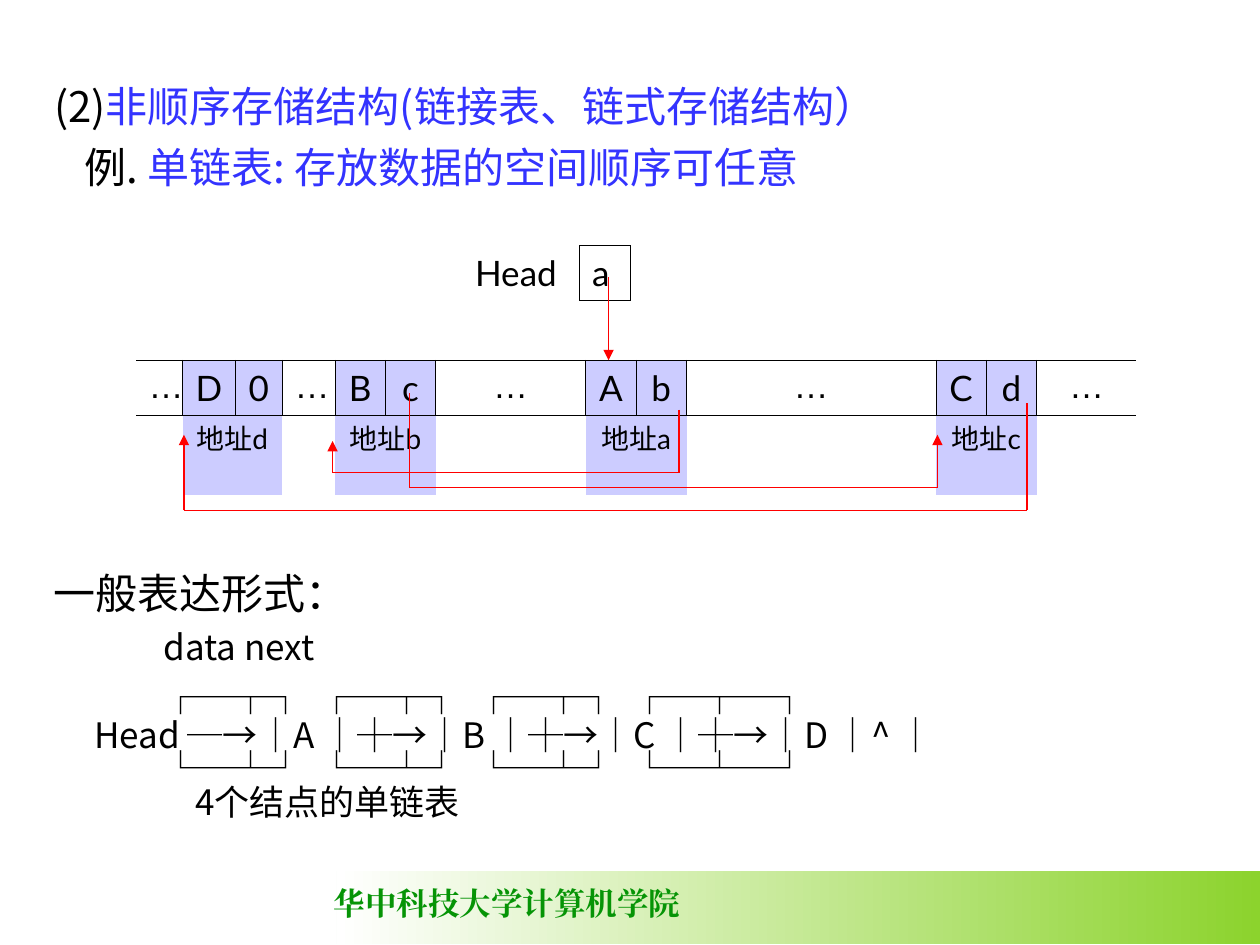
from itertools import pairwise

from lxml import etree
from pptx import Presentation
from pptx.dml.color import RGBColor
from pptx.enum import shapes, text
from pptx.oxml.ns import qn
from pptx.util import Inches, Pt

BLACK, BLUE, RED, LILAC = "000000", "3333FF", "FF0000", "CCCCFF"
SONG = "Noto Sans CJK SC"
NODE_TABS = [0.87 + 1.24 * i for i in range(4)]


def rgb(value):
    return RGBColor.from_string(value)


def add_run(paragraph, words, color=BLACK, **font):
    run = paragraph.add_run()
    run.text = words
    for name, value in font.items():
        setattr(run.font, name, value)
    run.font.color.rgb = rgb(color)
    # East Asian characters use the same typeface
    etree.SubElement(run._r.get_or_add_rPr(), qn("a:ea"), typeface=font["name"])


def format_frame(frame, wrap=True):
    settings = {"word_wrap": wrap, "auto_size": text.MSO_AUTO_SIZE.NONE,
                "vertical_anchor": text.MSO_ANCHOR.TOP,
                "margin_left": Inches(0.1), "margin_right": Inches(0.1),
                "margin_top": Inches(0.05), "margin_bottom": Inches(0.05)}
    for name, value in settings.items():
        setattr(frame, name, value)


def add_textbox(slide, left, top, width, height, wrap=True):
    box = slide.shapes.add_textbox(*map(Inches, (left, top, width, height)))
    format_frame(box.text_frame, wrap)
    return box.text_frame


def write_line(paragraph, runs, size, spacing, tabs=()):
    """Write (words, colour) runs on a line of fixed height with tab stops."""
    if tabs:
        tab_list = etree.SubElement(paragraph._p.get_or_add_pPr(), qn("a:tabLst"))
        for stop in tabs:
            etree.SubElement(tab_list, qn("a:tab"), pos=str(Inches(stop)), algn="l")
    paragraph.alignment = text.PP_ALIGN.LEFT
    paragraph.space_before = Pt(0)
    paragraph.line_spacing = Pt(spacing)
    for words, color in runs:
        add_run(paragraph, words, color, name=SONG, size=Pt(size))


def add_heading(slide):
    title = slide.shapes.title
    places = {"left": 0.33, "top": 0.5, "width": 9.33, "height": 0.55}
    for name, value in places.items():
        setattr(title, name, Inches(value))
    format_frame(title.text_frame)
    write_line(title.text_frame.paragraphs[0],
               [("(2)", BLACK), ("非顺序存储结构(链接表、链式存储结构）", BLUE)], 24, 35)
    example = add_textbox(slide, 0.33, 0.99, 9.33, 0.55)
    write_line(example.paragraphs[0],
               [("\t例. ", BLACK), ("单链表: 存放数据的空间顺序可任意", BLUE)],
               24, 35, [0.24])


def add_general_form(slide):
    lines = [("一般表达形式：", 24, 35, ()),
             ("\tdata next", 20, 28.5, NODE_TABS),
             ("\t┌─┬┐\t┌─┬┐\t┌─┬┐\t┌─┬─┐", 20, 28.5, NODE_TABS),
             ("\tHead ─→│A │┼→│B │┼→│C │┼→│D │^ │", 20, 21.5, [0.32]),
             ("\t└─┴┘\t└─┴┘\t└─┴┘\t└─┴─┘", 20, 19, NODE_TABS),
             ("\t4个结点的单链表", 20, 19.5, [1.12])]
    frame = add_textbox(slide, 0.33, 4.37, 9.33, 2.3)
    for i, (words, size, spacing, tabs) in enumerate(lines):
        paragraph = frame.add_paragraph() if i else frame.paragraphs[0]
        write_line(paragraph, [(words, BLACK)], size, spacing, tabs)


def add_plain_table(slide, left, top, columns, rows):
    frame = slide.shapes.add_table(
        len(rows), len(columns), Inches(left), Inches(top),
        Inches(sum(columns)), Inches(sum(rows)))
    table = frame.table
    table.first_row = table.horz_banding = False
    for column, width in zip(table.columns, columns):
        column.width = Inches(width)
    for row, height in zip(table.rows, rows):
        row.height = Inches(height)
    return table


def format_cell(cell, words="", size=20, font="Lato", fill=None, sides="",
                align=text.PP_ALIGN.CENTER):
    """Fill a cell; sides names the ruled edges out of L, R, T and B."""
    if fill:
        cell.fill.solid()
        cell.fill.fore_color.rgb = rgb(fill)
    else:
        cell.fill.background()
    properties = cell._tc.get_or_add_tcPr()
    for i, side in enumerate("LRTB"):
        edge = etree.Element(qn("a:ln" + side), w=str(Pt(0.45)))
        if side in sides:
            solid = etree.SubElement(edge, qn("a:solidFill"))
            etree.SubElement(solid, qn("a:srgbClr"), val=BLACK)
        else:
            etree.SubElement(edge, qn("a:noFill"))
        properties.insert(i, edge)
    if words:
        paragraph = cell.text_frame.paragraphs[0]
        paragraph.alignment = align
        add_run(paragraph, words, name=font, size=Pt(size))


def add_memory(slide):
    columns = [0.37, 0.42, 0.37, 0.42, 0.4, 0.4, 1.19, 0.4, 0.4, 1.98, 0.4, 0.4, 0.79]
    memory = add_plain_table(slide, 1.08, 2.86, columns, [0.43, 0.63])
    last = len(columns) - 1
    # Storage cells; the strip stays open at both ends
    for i, words in enumerate("…D0…Bc…Ab…Cd…"):
        gap = words == "…"
        sides = {0: "RTB", last: "LTB"}.get(i, "LRTB")
        align = text.PP_ALIGN.CENTER if i else text.PP_ALIGN.LEFT
        format_cell(memory.cell(0, i), words, font="Arial" if gap else "Lato",
                    fill=None if gap else LILAC, sides=sides, align=align)
    # Each address spans the two cells of its node
    for i, address in zip(range(1, last, 3), "dbac"):
        memory.cell(1, i).merge(memory.cell(1, i + 1))
        for part in (i, i + 1):
            words = "地址" + address if part == i else ""
            format_cell(memory.cell(1, part), words, 16, fill=LILAC, sides="T")
    for i in range(0, last + 1, 3):
        format_cell(memory.cell(1, i), sides="T")


def add_head(slide):
    head = add_plain_table(slide, 3.67, 1.95, [0.93, 0.4], [0.43])
    for i, (words, sides) in enumerate([("Head", "R"), ("a", "LRTB")]):
        format_cell(head.cell(0, i), words, sides=sides, align=text.PP_ALIGN.LEFT)


def add_link(slide, points, color=RED, arrow=True):
    """Draw straight pieces through the points, with an arrowhead on the last."""
    for start, end in pairwise(points):
        piece = slide.shapes.add_connector(
            shapes.MSO_CONNECTOR.STRAIGHT, *map(Inches, (*start, *end)))
        piece.line.color.rgb = rgb(color)
        piece.line.width = Pt(0.75)
        etree.SubElement(piece._element.spPr, qn("a:effectLst"))
    if arrow:
        etree.SubElement(piece.line._get_or_add_ln(), qn("a:tailEnd"), type="triangle")


def add_footer(slide):
    band = slide.shapes.add_shape(
        shapes.MSO_SHAPE.RECTANGLE, *map(Inches, (2.67, 6.91, 7.33, 0.58)))
    band.shadow.inherit = False
    band.line.fill.background()
    band.fill.gradient()
    band.fill.gradient_angle = 180
    for stop, position, color in zip(band.fill.gradient_stops, (0, 1),
                                     ("8CD32D", "FFFFFF")):
        stop.position = position
        stop.color.rgb = rgb(color)
    school = add_textbox(slide, 2.55, 6.97, 2.95, 0.4, wrap=False)
    add_run(school.paragraphs[0], "华中科技大学计算机学院", "069406",
            name="Times New Roman", size=Pt(18), bold=True)


def main():
    deck = Presentation()
    deck.slide_width, deck.slide_height = Inches(10), Inches(7.5)
    slide = deck.slides.add_slide(deck.slide_layouts[5])
    add_footer(slide)
    add_heading(slide)
    add_general_form(slide)
    add_link(slide, [(2.75, 1.78), (2.75, 1.78)], BLACK, arrow=False)
    add_memory(slide)
    add_head(slide)
    # Pointers: head to a, a to b, b to c, c to d
    add_link(slide, [(4.83, 2.2), (4.83, 2.86)])
    add_link(slide, [(5.39, 3.25), (5.39, 3.75), (2.64, 3.75), (2.64, 3.5)])
    add_link(slide, [(3.25, 3.12), (3.25, 3.87), (7.44, 3.87), (7.44, 3.45)])
    add_link(slide, [(8.15, 3.2), (8.15, 4.05), (1.46, 4.05), (1.46, 3.45)])
    deck.save("out.pptx")


if __name__ == "__main__":
    main()
